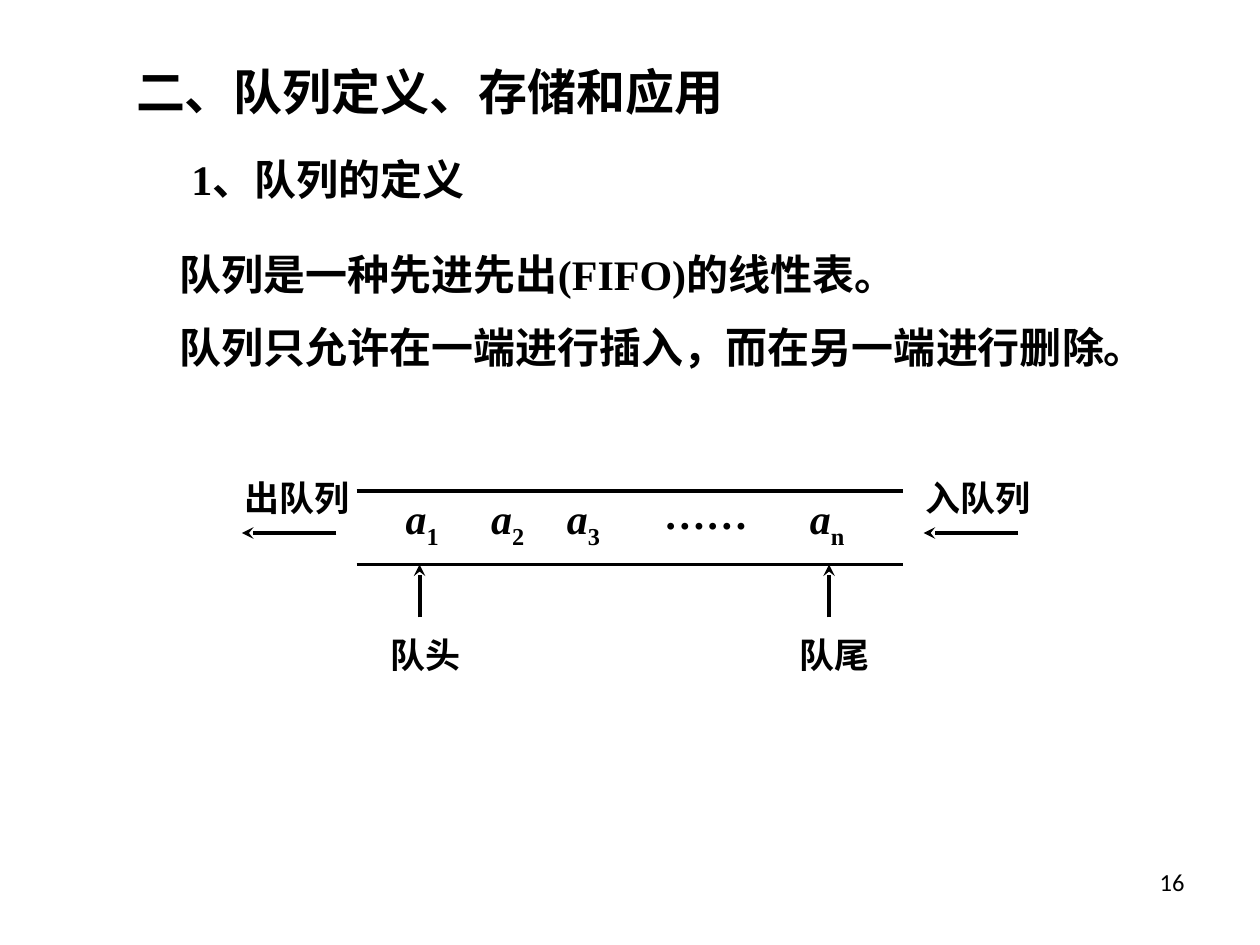
from lxml import etree
from pptx import Presentation
from pptx.dml.color import RGBColor
from pptx.enum.shapes import MSO_CONNECTOR
from pptx.enum.text import MSO_ANCHOR, MSO_AUTO_SIZE, PP_ALIGN
from pptx.oxml.ns import qn
from pptx.util import Inches, Pt

STRAIGHT = MSO_CONNECTOR.STRAIGHT
TOP = MSO_ANCHOR.TOP
NO_FIT = MSO_AUTO_SIZE.NONE
LEFT, RIGHT = PP_ALIGN.LEFT, PP_ALIGN.RIGHT

INK = "000000"
SERIF, SANS = "Times New Roman", "Calibri"
HEADING, BODY, LABEL, SMALL = 28, 24, 20, 14

# Content: text, (left, top, width, height)
TITLE = ("二、队列定义、存储和应用", (0.98, 0.44, 5.25, 0.57))
STATEMENTS = [
    ("1、队列的定义", (1.42, 1.17, 2.83, 0.5)),
    ("队列是一种先进先出(FIFO)的线性表。", (1.33, 1.92, 7.92, 0.5)),
    ("队列只允许在一端进行插入，而在另一端进行删除。", (1.33, 2.5, 8.08, 0.5)),
]
PAGE_NUMBER = ("16", (7.17, 6.83, 2.33, 0.52))

# Queue elements: subscript and tab position within the box
ELEMENTS = [("1", 0), ("2", 0.68), ("3", 1.28), ("n", 3.21)]
ELEMENTS_AREA = (3.12, 3.86, 3.92, 0.56)
ELLIPSIS = ("……", (5.17, 3.82, 1.17, 0.5))

# Diagram: rails of the queue, flows at its ends, pointers below it
RAIL_LEFT, RAIL_RIGHT = 2.83, 7.17
RAIL_TOP, RAIL_BOTTOM = 3.9, 4.48
FLOW_Y, FLOW_LENGTH = 4.23, 0.75
FLOWS = [("出队列", 1.92), ("入队列", 7.33)]
POINTER_LENGTH = 0.42
POINTERS = [("队头", 3.33), ("队尾", 6.58)]


def color(value):
    return RGBColor.from_string(value)


def add_span(para, text, size, font=SERIF, bold=True, italic=False, subscript=False):
    span = para.add_run()
    span.text = text
    span.font.name = font
    span.font.size = Pt(size)
    span.font.bold = bold
    span.font.italic = italic
    span.font.color.rgb = color(INK)
    if subscript:
        span._r.get_or_add_rPr().set("baseline", "-25000")


def format_frame(box, align=LEFT):
    frame = box.text_frame
    frame.word_wrap = True
    frame.auto_size = NO_FIT
    frame.vertical_anchor = TOP
    frame.paragraphs[0].alignment = align
    return frame.paragraphs[0]


def add_box(parent, area, align=LEFT):
    return format_frame(parent.shapes.add_textbox(*map(Inches, area)), align)


def add_line(parent, start, end, arrow=False):
    line = parent.shapes.add_connector(STRAIGHT, *map(Inches, (*start, *end)))
    line.line.color.rgb = color(INK)
    line.line.width = Pt(2.25)
    if arrow:
        tail = etree.SubElement(line.line._get_or_add_ln(), qn("a:tailEnd"))
        tail.set("type", "stealth")
    etree.SubElement(line._element.spPr, qn("a:effectLst"))


def add_tabs(para, positions):
    tabs = etree.SubElement(para._p.get_or_add_pPr(), qn("a:tabLst"))
    for position in positions:
        etree.SubElement(tabs, qn("a:tab"), pos=str(Inches(position)), algn="l")


def add_queue(page):
    queue = page.shapes.add_group_shape()
    for y in (RAIL_TOP, RAIL_BOTTOM):
        add_line(queue, (RAIL_LEFT, y), (RAIL_RIGHT, y))

    # Arrows and labels at both ends
    for text, x in FLOWS:
        add_line(queue, (x + FLOW_LENGTH, FLOW_Y), (x, FLOW_Y), arrow=True)
        add_span(add_box(queue, (x - 0.08, FLOW_Y - 0.5, 1.67, 0.44)), text, LABEL)

    # Elements a1, a2, a3 ... an
    para = add_box(queue, ELEMENTS_AREA)
    add_tabs(para, [position for _, position in ELEMENTS[1:]])
    for index, (subscript, _) in enumerate(ELEMENTS):
        if index:
            add_span(para, "\t", BODY)
        add_span(para, "a", BODY, italic=True)
        add_span(para, subscript, BODY, subscript=True)
    text, area = ELLIPSIS
    add_span(add_box(queue, area), text, BODY)


def add_pointer(page, text, x):
    pointer = page.shapes.add_group_shape()
    add_line(pointer, (x, RAIL_BOTTOM + POINTER_LENGTH), (x, RAIL_BOTTOM), arrow=True)
    add_span(add_box(pointer, (x - 0.33, RAIL_BOTTOM + 0.5, 1.92, 0.44)), text, LABEL)


def main():
    deck = Presentation()
    deck.slide_width, deck.slide_height = Inches(10), Inches(7.5)
    page = deck.slides.add_slide(deck.slide_layouts.get_by_name("Title Only"))

    # Title
    text, area = TITLE
    title = page.shapes.title
    title.left, title.top, title.width, title.height = map(Inches, area)
    add_span(format_frame(title), text, HEADING)

    # Definition
    for text, area in STATEMENTS:
        add_span(add_box(page, area), text, BODY)

    # Diagram
    add_queue(page)
    for text, x in POINTERS:
        add_pointer(page, text, x)

    # Page number
    text, area = PAGE_NUMBER
    add_span(add_box(page, area, RIGHT), text, SMALL, font=SANS, bold=False)

    deck.save("out.pptx")


if __name__ == "__main__":
    main()
